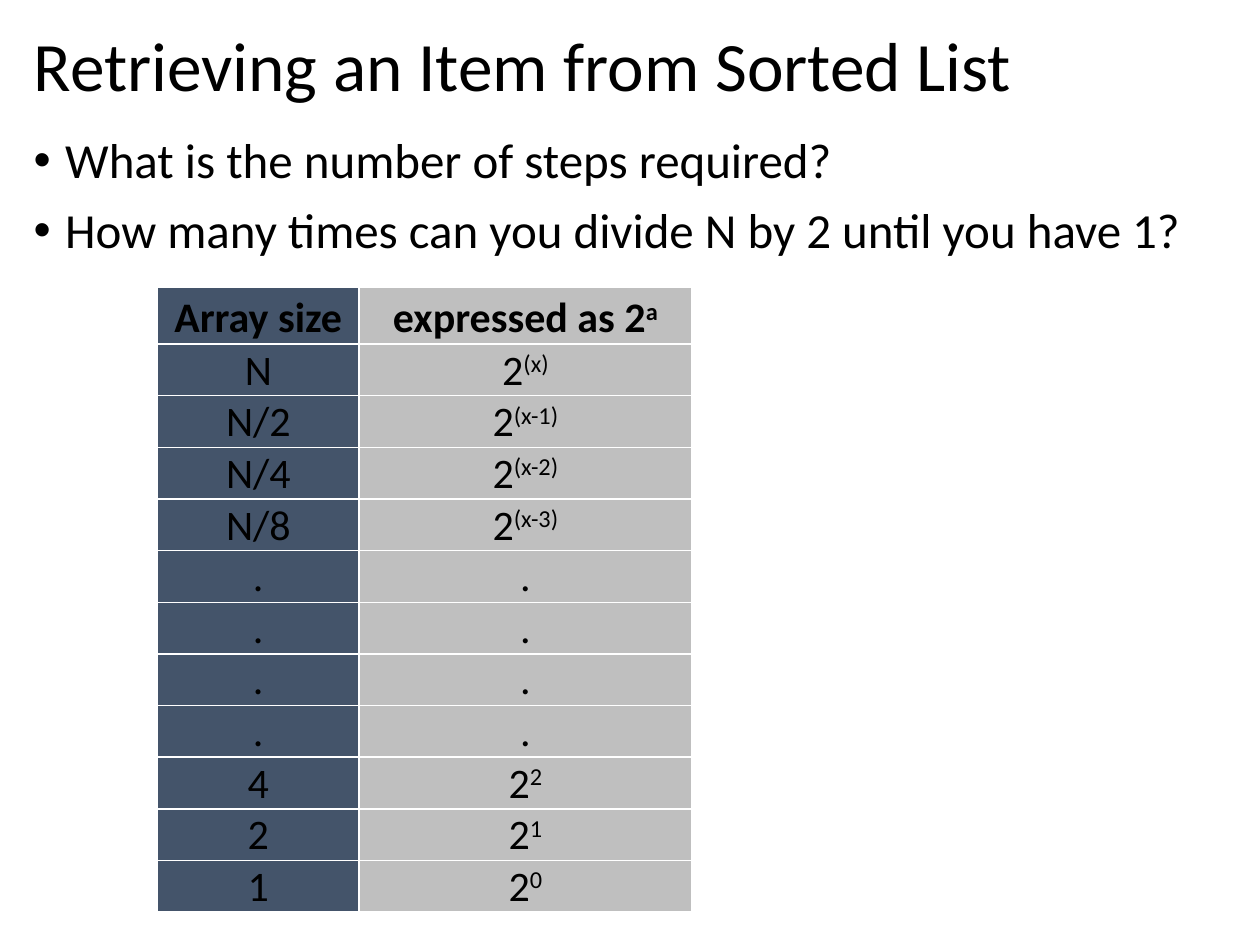
from dataclasses import dataclass

from pptx import Presentation
from pptx.dml.color import RGBColor
from pptx.enum.text import MSO_ANCHOR, PP_ALIGN
from pptx.oxml import parse_xml
from pptx.oxml.ns import nsdecls
from pptx.util import Pt


@dataclass(frozen=True)
class Theme:
    font: str = "Calibri"
    ink: str = "000000"
    border: str = "FFFFFF"
    fills: tuple = ("44546A", "BFBFBF")
    title: float = 39.6
    body: float = 28
    cell: float = 24


T = Theme()

ROWS = [
    ("Array size", "expressed as 2", "a"),
    ("N", "2", "(x)"),
    ("N/2", "2", "(x-1)"),
    ("N/4", "2", "(x-2)"),
    ("N/8", "2", "(x-3)"),
    *[(".", ".", "")] * 4,
    ("4", "2", "2"),
    ("2", "2", "1"),
    ("1", "2", "0"),
]


def set_all(obj, **values):
    for name, value in values.items():
        setattr(obj, name, value)


def add_run(p, text, size, bold=False, raised=False):
    r = p.add_run()
    r.text = text
    set_all(r.font, name=T.font, size=Pt(size), bold=bold)
    r.font.color.rgb = RGBColor.from_string(T.ink)
    if raised:
        r._r.get_or_add_rPr().set("baseline", "30000")


def add_frame(s, box, anchor):
    tf = s.shapes.add_textbox(*map(Pt, box)).text_frame
    set_all(tf, word_wrap=True, vertical_anchor=anchor)
    return tf


def add_title(s, box, text):
    p = add_frame(s, box, MSO_ANCHOR.MIDDLE).paragraphs[0]
    p.line_spacing = 0.9
    add_run(p, text, T.title)


def add_bullets(s, box, lines):
    tf = add_frame(s, box, MSO_ANCHOR.TOP)
    for i, line in enumerate(lines):
        p = tf.add_paragraph() if i else tf.paragraphs[0]
        set_all(p, line_spacing=0.9, space_before=Pt(10 if i else 0))
        pPr = p._p.get_or_add_pPr()
        pPr.set("marL", str(Pt(18)))
        pPr.set("indent", str(Pt(-18)))
        pPr.append(parse_xml(f'<a:buFont {nsdecls("a")} typeface="Arial"/>'))
        pPr.append(parse_xml(f'<a:buChar {nsdecls("a")} char="•"/>'))
        add_run(p, line, T.body)


def style_cell(cell, fill):
    set_all(cell, vertical_anchor=MSO_ANCHOR.BOTTOM, margin_left=Pt(0.7),
            margin_right=Pt(0.7), margin_top=Pt(0.7), margin_bottom=Pt(0))
    tcPr = cell._tc.get_or_add_tcPr()
    for side in "LRTB":
        tcPr.append(parse_xml(
            f'<a:ln{side} {nsdecls("a")} w="{Pt(1)}"><a:solidFill>'
            f'<a:srgbClr val="{T.border}"/></a:solidFill></a:ln{side}>'))
    cell.fill.solid()
    cell.fill.fore_color.rgb = RGBColor.from_string(fill)


def add_powers_table(s, box, widths, heights, rows):
    table = s.shapes.add_table(len(rows), len(widths), *map(Pt, box)).table
    set_all(table, first_row=False, horz_banding=False)
    for col, width in zip(table.columns, widths):
        col.width = Pt(width)
    for i, (size, base, power) in enumerate(rows):
        table.rows[i].height = Pt(heights[min(i, 1)])
        for j, parts in enumerate([(size,), (base, power)]):
            cell = table.cell(i, j)
            style_cell(cell, T.fills[j])
            p = cell.text_frame.paragraphs[0]
            p.alignment = PP_ALIGN.CENTER
            for k, part in enumerate(parts):
                if part:
                    add_run(p, part, T.cell, bold=i == 0, raised=k == 1)


def main():
    prs = Presentation()
    set_all(prs, slide_width=Pt(720), slide_height=Pt(540))
    s = prs.slides.add_slide(prs.slide_layouts[6])
    add_title(s, (12.2, 13, 692.6, 53.3), "Retrieving an Item from Sorted List")
    add_powers_table(s, (90, 164.2, 305.3, 357.8), (115.2, 190.1), (32.4, 27.4), ROWS)
    add_bullets(s, (12.2, 74.2, 692.6, 412.6), [
        "What is the number of steps required?",
        "How many times can you divide N by 2 until you have 1?",
    ])
    prs.save("out.pptx")


if __name__ == "__main__":
    main()
